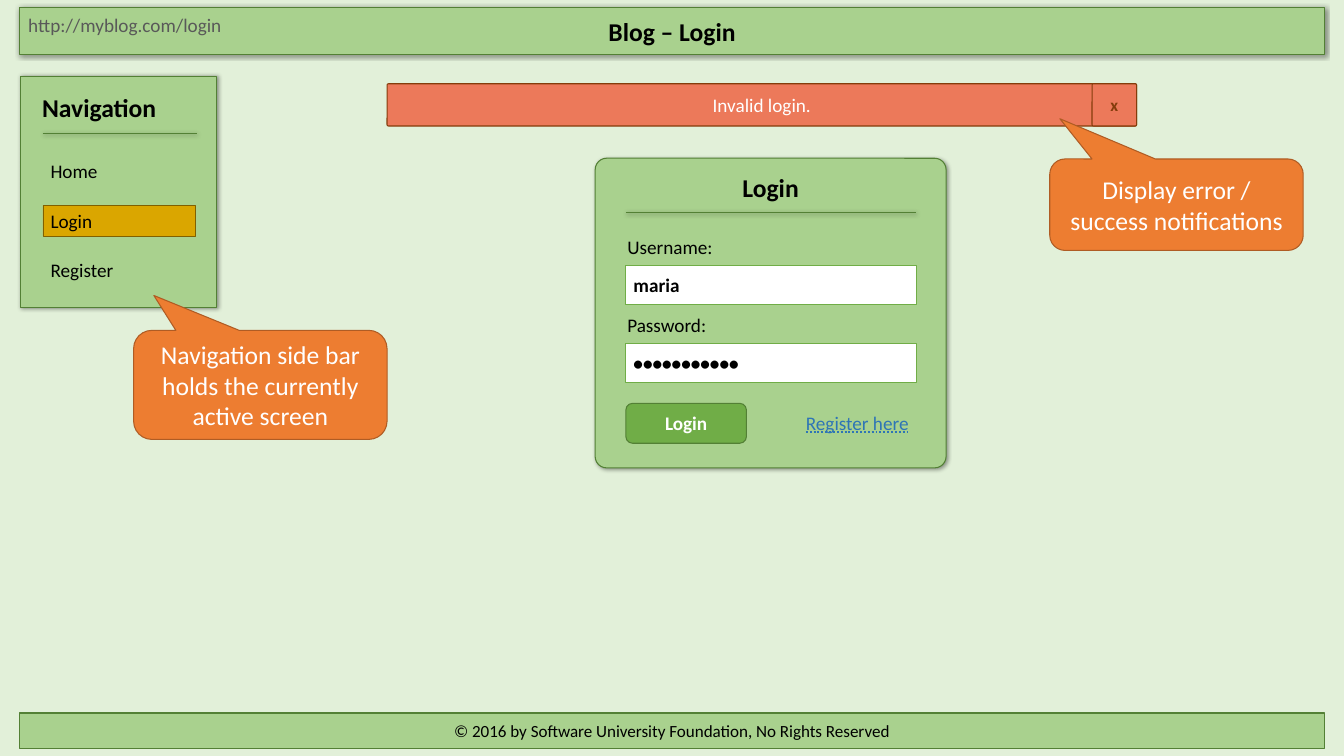
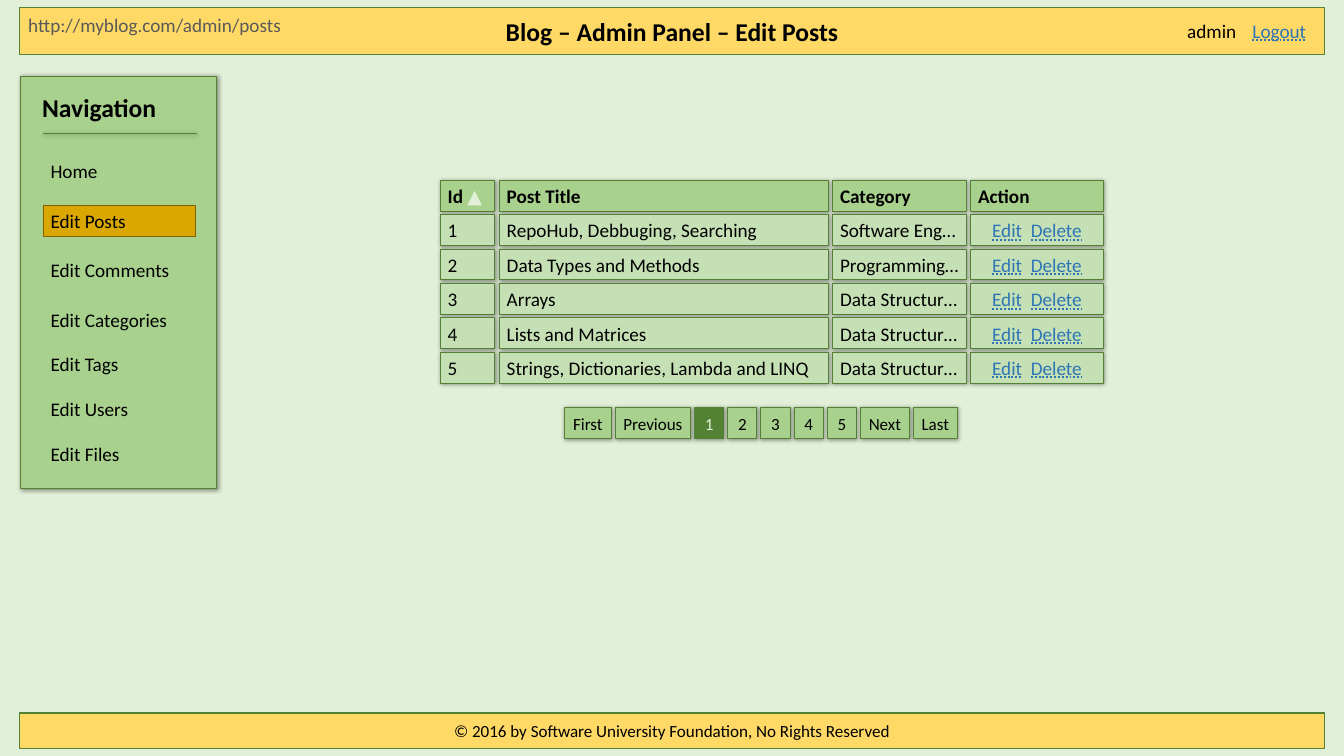
from lxml.etree import SubElement
from pptx import Presentation
from pptx.dml.color import RGBColor
from pptx.enum.shapes import MSO_CONNECTOR, MSO_SHAPE as Preset
from pptx.enum.text import MSO_ANCHOR as Anchor, MSO_AUTO_SIZE, MSO_UNDERLINE, PP_ALIGN as Align
from pptx.oxml.ns import qn
from pptx.util import Pt

COLORS = {
    "page": "E2F0D9", "panel": "A9D18E", "row": "C5E0B4", "edge": "538035",
    "admin": "FFD966", "active": "DAA600", "active_edge": "806000",
    "button": "70AD47", "current": "548235", "error": "EC795A",
    "error_edge": "843C0B", "callout": "ED7D31", "callout_edge": "AF5C24",
    "link": "2E75B6", "url": "595959", "black": "000000", "white": "FFFFFF",
    "close_outline": "5C732F", "sort_outline": "649B3F",
}
HEADING = {"size": Pt(24), "bold": True}
STRONG = {"size": Pt(18), "bold": True}
BODY = {"size": Pt(18)}
SMALL = {"size": Pt(16)}
CLOSE = {"size": Pt(16), "bold": True}
SPEECH = {"size": Pt(24)}
LINK = {"size": Pt(18), "underline": MSO_UNDERLINE.DOTTED_LINE}

HEADER = (18.7, 7.2, 1222.6, 43.9)
FOOTER = (18.7, 668.2, 1222.6, 33.1)
ITEM_HEIGHT = 28.8


def rgb(name):
    """Return the palette colour with this name."""
    return RGBColor.from_string(COLORS[name])


def add_effects(shape, shadow):
    """Give a shape a soft shadow, or none at all."""
    effects = SubElement(shape._element.spPr, qn("a:effectLst"))
    if shadow:
        outer = SubElement(effects, qn("a:outerShdw"), blurRad=str(Pt(4)), dist=str(Pt(1)),
                           dir="2700000", algn="tl", rotWithShape="0")
        black = SubElement(outer, qn("a:srgbClr"), val=COLORS["black"])
        SubElement(black, qn("a:alpha"), val="40000")


def paint(shape, fill, edge="edge", width=1, shadow=False):
    """Set fill, outline and shadow of a shape."""
    shape.fill.solid()
    shape.fill.fore_color.rgb = rgb(fill)
    shape.line.color.rgb = rgb(edge)
    shape.line.width = Pt(width)
    add_effects(shape, shadow)


def add_run(paragraph, text, style, color="black", outline=None):
    """Append a formatted run to a paragraph."""
    run = paragraph.add_run()
    run.text = text
    for name, value in {"name": "Calibri", **style}.items():
        setattr(run.font, name, value)
    run.font.color.rgb = rgb(color)
    if outline:
        properties = run._r.get_or_add_rPr()
        line = SubElement(properties, qn("a:ln"), w=str(Pt(0.75)))
        SubElement(SubElement(line, qn("a:solidFill")), qn("a:srgbClr"), val=COLORS[outline])
        properties.insert(0, line)


def write(shape, runs, align=Align.LEFT, anchor=Anchor.MIDDLE, wrap=True):
    """Fill a shape with one paragraph of runs."""
    frame = shape.text_frame
    frame_format = {"word_wrap": wrap, "auto_size": MSO_AUTO_SIZE.NONE, "vertical_anchor": anchor,
                    "margin_left": Pt(7.2), "margin_right": Pt(7.2),
                    "margin_top": Pt(3.6), "margin_bottom": Pt(3.6)}
    for name, value in frame_format.items():
        setattr(frame, name, value)
    paragraph = frame.paragraphs[0]
    paragraph.alignment = align
    for run in runs:
        add_run(paragraph, *run)


def add_label(slide, box, runs, align=Align.LEFT, wrap=True):
    """Add plain text in a box."""
    label = slide.shapes.add_textbox(*map(Pt, box))
    write(label, runs, align, Anchor.TOP, wrap)


def add_block(slide, box, fill, preset=Preset.RECTANGLE, adjust=(), **look):
    """Add a painted preset shape."""
    block = slide.shapes.add_shape(preset, *map(Pt, box))
    for index, value in enumerate(adjust):
        block.adjustments[index] = value
    paint(block, fill, **look)
    return block


def add_tile(slide, box, fill):
    """Add a square-cornered block with a shadow."""
    return add_block(slide, box, fill, Preset.ROUNDED_RECTANGLE, [0], shadow=True)


def add_rule(slide, x, y, width):
    """Draw the line under a panel heading."""
    rule = slide.shapes.add_connector(MSO_CONNECTOR.STRAIGHT, Pt(x), Pt(y), Pt(x + width), Pt(y))
    rule.line.color.rgb = rgb("edge")
    rule.line.width = Pt(1)
    add_effects(rule, True)


def add_screen(deck, title, url, url_width, fill, shadow=False):
    """Add a slide with header band, address and footer band."""
    slide = deck.slides.add_slide(deck.slide_layouts[5])
    header = slide.shapes.title
    for side, value in zip(("left", "top", "width", "height"), HEADER):
        setattr(header, side, Pt(value))
    paint(header, fill, shadow=shadow)
    write(header, [(title, HEADING)], Align.CENTER)
    footer = add_block(slide, FOOTER, fill)
    write(footer, [("© 2016 by Software University Foundation, No Rights Reserved", SMALL)],
          Align.CENTER)
    add_label(slide, (HEADER[0] + 0.7, HEADER[1] + 1.4, url_width, ITEM_HEIGHT),
              [(url, BODY, "url")], wrap=False)
    return slide


def add_navigation(slide, box, items, active):
    """Add the side bar with the active item highlighted."""
    x, y, width, _ = box
    add_tile(slide, box, "panel")
    add_rule(slide, x + 20.9, y + 54, 144)
    add_label(slide, (x + 13, y + 11.5, width - 25.2, 36), [("Navigation", HEADING)])
    for index, item in enumerate(items):
        top = y + 74.9 + 46.3 * min(index, 3) + 42 * max(index - 3, 0)
        item_box = (x + 20.9, top, 142.6, ITEM_HEIGHT)
        if item == active:
            highlight = add_block(slide, item_box, "active", edge="active_edge", width=0.75)
            write(highlight, [(item, BODY)])
        else:
            add_label(slide, item_box, [(item, BODY)])


def add_notification(slide, box, message):
    """Add an error bar with a close button at its right end."""
    x, y, width, height = box
    close_width = 41.8
    close_box = (x + width - close_width, y, close_width, height)
    parts = [(box, (message, BODY, "white")),
             (close_box, ("x", CLOSE, "error_edge", "close_outline"))]
    for part_box, run in parts:
        part = add_block(slide, part_box, "error", Preset.ROUNDED_RECTANGLE, [0.035],
                         edge="error_edge")
        write(part, [run], Align.CENTER)


def add_login_form(slide, box, fields):
    """Add the login panel with its fields, button and link."""
    x, y, width, _ = box
    left, inner = x + 28.8, width - 56.8
    add_block(slide, box, "panel", Preset.ROUNDED_RECTANGLE, [0.037], shadow=True)
    add_rule(slide, left, y + 51.1, inner)
    add_label(slide, (x + 17.3, y + 9.4, width - 34.6, 36), [("Login", HEADING)], Align.CENTER)
    for index, (name, value) in enumerate(fields):
        top = y + 68.4 + 73.4 * index
        add_label(slide, (x + 23, top, inner, ITEM_HEIGHT), [(name, BODY)])
        entry = add_block(slide, (left, top + 31.7, inner, 36.7), "white", edge="button")
        write(entry, [(value, STRONG)])
    button = add_block(slide, (left, y + 229.7, 113, 37.4), "button", Preset.ROUNDED_RECTANGLE)
    write(button, [("Login", STRONG, "white")], Align.CENTER)
    add_label(slide, (x + 153.4, y + 233.3, 147.6, ITEM_HEIGHT),
              [("Register here", LINK, "link")], Align.RIGHT)


def add_callout(slide, box, tip, remark):
    """Add a speech bubble whose tip is given relative to its size."""
    callout = add_block(slide, box, "callout", Preset.ROUNDED_RECTANGULAR_CALLOUT,
                        [*tip, 0.167], edge="callout_edge")
    write(callout, [(remark, SPEECH, "white")], Align.CENTER)


def add_posts(slide, origin, posts):
    """Add the grid of posts with separate cells."""
    x, y = origin
    widths, gap, pitch = (51.3, 308.4, 125.3, 124.6), 4.1, 32.2
    actions = [("Edit", LINK, "link"), ("  ", BODY, "link"), ("Delete", LINK, "link")]
    rows = [[[("Id ", STRONG), ("▲", STRONG, "page", "sort_outline")],
             *([(name, STRONG)] for name in ("Post Title", "Category", "Action"))]]
    for number, (title, category) in enumerate(posts, 1):
        rows.append([[(text, BODY)] for text in (str(number), title, category)] + [actions])
    for row_index, row in enumerate(rows):
        left = x
        for width, runs in zip(widths, row):
            cell = add_tile(slide, (left, y + pitch * row_index, width, ITEM_HEIGHT),
                            "row" if row_index else "panel")
            write(cell, runs, Align.CENTER if runs is actions else Align.LEFT)
            if runs is not actions:
                cell.text_frame.margin_right = Pt(3.6)
            left += width + gap


def add_pager(slide, origin, current):
    """Add the row of page buttons."""
    left, top = origin
    pages = [("First", 43.9), ("Previous", 70.6), *((str(page), 27.4) for page in range(1, 6)),
             ("Next", 46.1), ("Last", 41)]
    for name, width in pages:
        chosen = name == current
        button = add_tile(slide, (left, top, width, ITEM_HEIGHT), "current" if chosen else "panel")
        write(button, [(name, SMALL, "page" if chosen else "black")], Align.CENTER, wrap=False)
        left += width + 3.7


def build_login(deck):
    """Build the login screen."""
    slide = add_screen(deck, "Blog – Login", "http://myblog.com/login", 198, "panel", shadow=True)
    add_login_form(slide, (558, 148.3, 329, 290.2),
                   [("Username:", "maria"), ("Password:", "•••••••••••")])
    add_notification(slide, (362.9, 78.5, 702.7, 39.6), "Invalid login.")
    add_navigation(slide, (19.4, 71.3, 183.6, 216.7), ["Home", "Login", "Register"], "Login")
    add_callout(slide, (984.2, 149, 237.6, 85.7), (-0.46, -0.94),
                "Display error / success notifications")
    add_callout(slide, (125.3, 309.6, 237.6, 102.2), (-0.42, -0.82),
                "Navigation side bar holds the currently active screen")


def build_edit_posts(deck):
    """Build the admin screen that lists the posts."""
    slide = add_screen(deck, "Blog – Admin Panel – Edit Posts", "http://myblog.com/admin/posts",
                       254.9, "admin")
    add_label(slide, (1105.9, 14.4, 61.2, ITEM_HEIGHT), [("admin", BODY)], wrap=False)
    add_label(slide, (1167.1, 14.4, 65.5, ITEM_HEIGHT), [("Logout", LINK, "link")], wrap=False)
    add_navigation(slide, (19.4, 71.3, 183.6, 386.6),
                   ["Home", "Edit Posts", "Edit Comments", "Edit Categories", "Edit Tags",
                    "Edit Users", "Edit Files"], "Edit Posts")
    add_posts(slide, (412.6, 169.2), [
        ("RepoHub, Debbuging, Searching", "Software Eng…"),
        ("Data Types and Methods", "Programming…"),
        ("Arrays", "Data Structur…"),
        ("Lists and Matrices", "Data Structur…"),
        ("Strings, Dictionaries, Lambda and LINQ", "Data Structur…"),
    ])
    add_pager(slide, (529.2, 382.3), "1")


def main():
    """Build and save the deck."""
    deck = Presentation()
    deck.slide_width, deck.slide_height = Pt(1260), Pt(708.5)
    background = deck.slide_master.background.fill
    background.solid()
    background.fore_color.rgb = rgb("page")
    build_login(deck)
    build_edit_posts(deck)
    deck.save("out.pptx")


if __name__ == "__main__":
    main()
